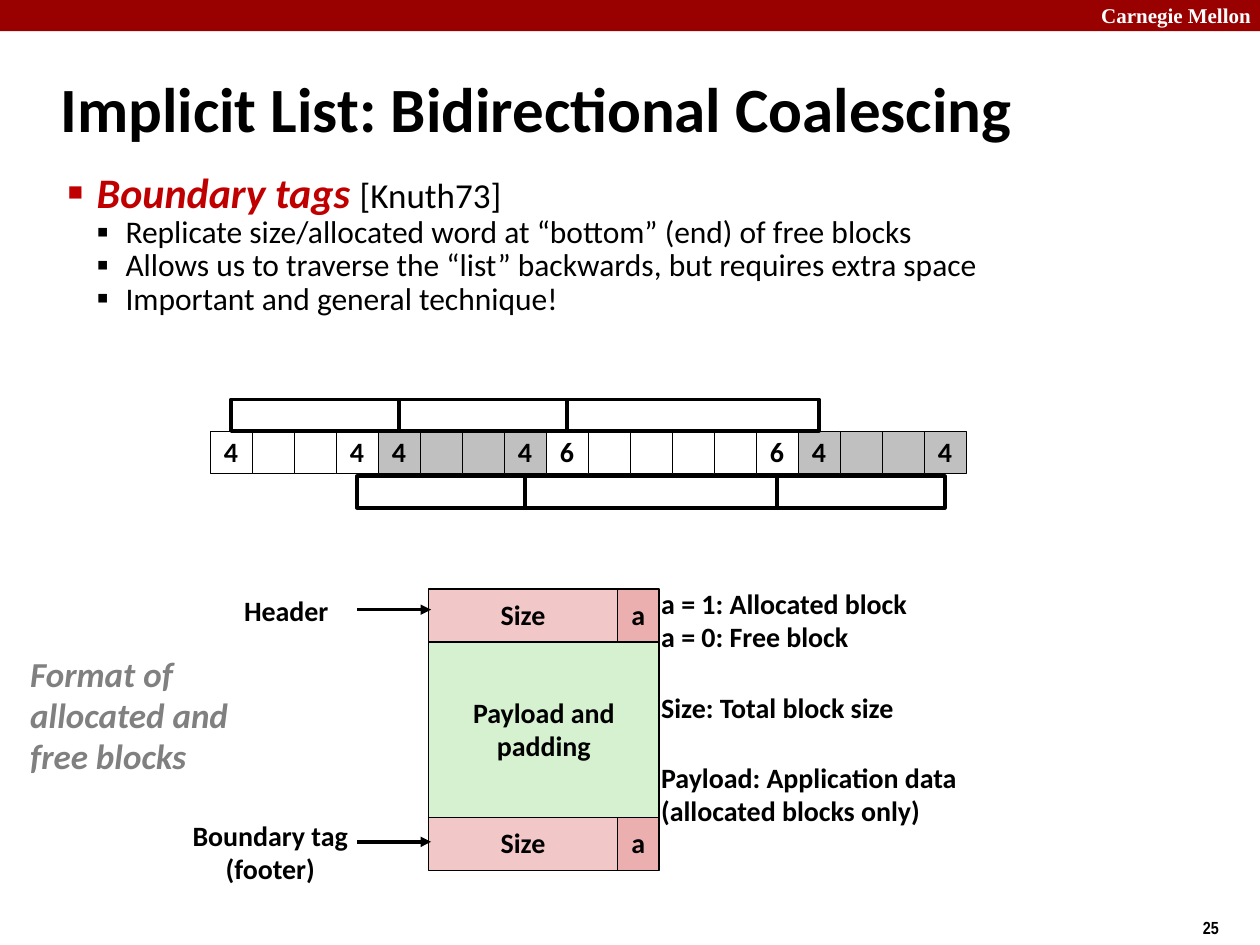
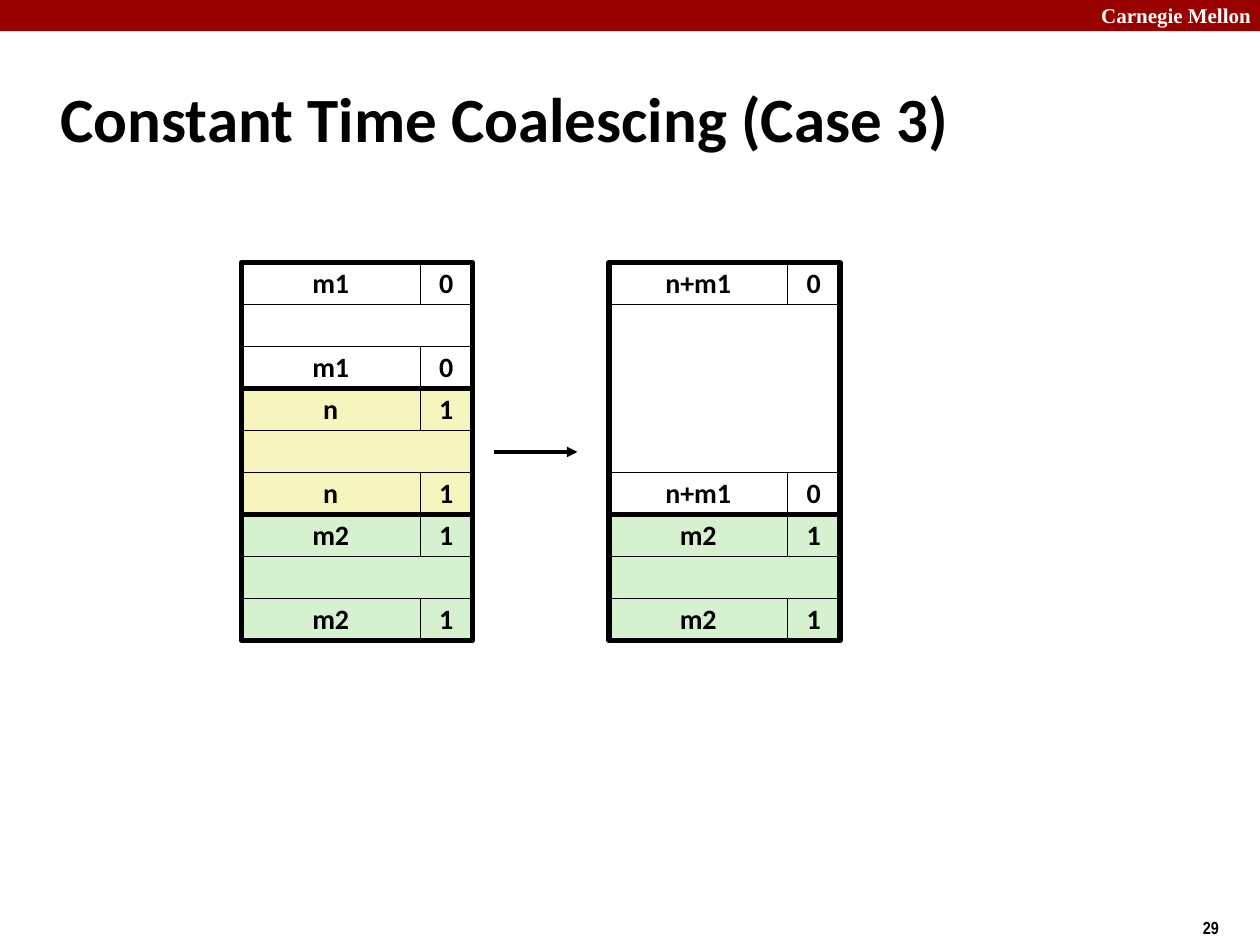
import dataclasses
import pptx
import pptx.util
import pptx.dml.color
import pptx.enum.shapes
import pptx.enum.text
import pptx.oxml.ns
from lxml import etree

Cm = pptx.util.Cm
Pt = pptx.util.Pt
Align = pptx.enum.text.PP_ALIGN
Anchor = pptx.enum.text.MSO_ANCHOR


@dataclasses.dataclass(frozen=True)
class Theme:
    font: str = "Calibri"
    serif: str = "Times New Roman"
    narrow: str = "Arial Narrow"
    black: str = "000000"
    white: str = "FFFFFF"
    band: str = "990000"
    red: str = "C00000"
    gray: str = "808080"
    silver: str = "C0C0C0"
    pink: str = "F1C7C7"
    rose: str = "EBAFAF"
    green: str = "D5F1CF"
    yellow: str = "F6F5BD"
    title: int = 36
    lead: int = 24
    large: int = 20
    item: int = 18
    label: int = 16
    brand: int = 12
    page: int = 10
    hair: float = 0.25
    thin: float = 1
    thick: float = 2
    frame: float = 3


THEME = Theme()
CELL = 2.54 / 3


def rgb(code):
    return pptx.dml.color.RGBColor.from_string(code)


def tag(parent, name, **attrs):
    return etree.SubElement(parent, pptx.oxml.ns.qn(name), attrs)


def write(par, text, font=THEME.font, size=THEME.label, color=THEME.black,
          bold=True, italic=False):
    run = par.add_run()
    run.text = text
    run.font.name = font
    run.font.size = Pt(size)
    run.font.bold = bold
    run.font.italic = italic
    run.font.color.rgb = rgb(color)


class Deck:
    def __init__(self, theme):
        self.theme = theme
        self.file = pptx.Presentation()
        self.file.slide_width = Cm(25.4)
        self.file.slide_height = Cm(19.05)
        self.slide = None

    def start(self, layout, page):
        t = self.theme
        self.slide = self.file.slides.add_slide(self.file.slide_layouts[layout])
        self.rect(0, 0, 25.4, 0.63, fill=t.band)
        self.text("Carnegie Mellon", 21.95, -0.08, 3.63, 0.76, spacing=1,
                  font=t.serif, size=t.brand, color=t.white)
        self.text(page, 24, 18.36, 1.4, 0.69, spacing=1,
                  font=t.narrow, size=t.page)

    def place(self, shape, x, y, w, h):
        shape.left, shape.top, shape.width, shape.height = map(Cm, (x, y, w, h))

    def title(self, text, top, width):
        shape = self.slide.shapes.title
        self.place(shape, 1.07, top, width, 1.6)
        frame = shape.text_frame
        self.fit(frame, 0.15, 0, Anchor.MIDDLE)
        frame.paragraphs[0].alignment = Align.LEFT
        write(frame.paragraphs[0], text, size=self.theme.title)

    def fit(self, frame, side, edge, anchor):
        frame.word_wrap = True
        frame.auto_size = pptx.enum.text.MSO_AUTO_SIZE.NONE
        frame.vertical_anchor = anchor
        frame.margin_left = frame.margin_right = Cm(side)
        frame.margin_top = frame.margin_bottom = Cm(edge)

    def list(self, lead, note, items):
        t = self.theme
        shape = self.slide.placeholders[1]
        self.place(shape, 1.12, 3.4, 23.06, 3.68)
        frame = shape.text_frame
        self.fit(frame, 0.25, 0.13, Anchor.TOP)
        first = self.point(frame.paragraphs[0], 0, "■", 60, 0.83)
        write(first, lead, size=t.lead, color=t.red, italic=True)
        write(first, note, size=t.large, bold=False)
        for item in items:
            par = self.point(frame.add_paragraph(), 1, "▪", 110, 0.88)
            write(par, item, size=t.item, bold=False)

    def point(self, par, level, mark, scale, spacing):
        par.level = level
        props = par._p.get_or_add_pPr()
        props.set("marL", str(Cm(0.58 * (level + 1))))
        props.set("indent", str(-Cm(0.58)))
        tag(props, "a:buSzPct", val=str(scale * 1000))
        tag(props, "a:buChar", char=mark)
        par.line_spacing = spacing
        par.space_before = par.space_after = Pt(0)
        return par

    def fill(self, frame, text, align, spacing=0.98, gap=21.5, **style):
        par = None
        for group in text.split("\n\n"):
            for row, line in enumerate(group.split("\n")):
                fresh = par is None
                par = frame.paragraphs[0] if fresh else frame.add_paragraph()
                par.alignment = align
                par.line_spacing = spacing
                if row == 0 and not fresh:
                    par.space_before = Pt(gap)
                write(par, line, **style)

    def text(self, text, x, y, w, h, align=Align.LEFT, **style):
        box = self.slide.shapes.add_textbox(*map(Cm, (x, y, w, h)))
        self.fit(box.text_frame, 0.25, 0.13, Anchor.TOP)
        self.fill(box.text_frame, text, align, **style)

    def rect(self, x, y, w, h, text="", fill=None, line=None):
        kind = pptx.enum.shapes.MSO_SHAPE.RECTANGLE
        shape = self.slide.shapes.add_shape(kind, *map(Cm, (x, y, w, h)))
        shape.shadow.inherit = False
        if fill:
            shape.fill.solid()
            shape.fill.fore_color.rgb = rgb(fill)
        else:
            shape.fill.background()
        if line:
            shape.line.color.rgb = rgb(self.theme.black)
            shape.line.width = Pt(line)
        else:
            shape.line.fill.background()
        if text:
            self.fit(shape.text_frame, 0, 0, Anchor.MIDDLE)
            self.fill(shape.text_frame, text, Align.CENTER)

    def arrow(self, x, y, end):
        kind = pptx.enum.shapes.MSO_CONNECTOR.STRAIGHT
        line = self.slide.shapes.add_connector(kind, *map(Cm, (x, y, end, y)))
        line.line.color.rgb = rgb(self.theme.black)
        line.line.width = Pt(self.theme.thick)
        tag(line.line._get_or_add_ln(), "a:tailEnd", type="triangle")
        tag(line._element.spPr, "a:effectLst")

    def spans(self, x, y, sizes):
        for size in sizes:
            self.rect(x, y, size * CELL, 0.64, line=self.theme.thick)
            x += size * CELL

    def words(self, x, y, blocks):
        for size, color in blocks:
            for spot in range(size):
                label = str(size) if spot in (0, size - 1) else ""
                self.rect(x, y, CELL, CELL, label, color, self.theme.hair)
                x += CELL

    def tagged(self, x, y, size):
        t = self.theme
        self.rect(x, y, 3.81, 1.07, size, t.pink, t.thin)
        self.rect(x + 3.81, y, 0.84, 1.07, "a", t.rose, t.thin)

    def stack(self, x, y, blocks):
        t = self.theme
        wide, slim = 4.25 * CELL, 1.25 * CELL
        for label, flag, color, rows in blocks:
            foot = y + (rows + 1) * CELL
            self.rect(x, y + CELL, wide + slim, rows * CELL, "", color, t.hair)
            for top in (y, foot):
                self.rect(x, top, wide, CELL, label, color, t.hair)
                self.rect(x + wide, top, slim, CELL, flag, color, t.hair)
            self.rect(x, y, wide + slim, (rows + 2) * CELL, line=t.frame)
            y = foot + CELL


def tags(deck):
    t = deck.theme
    deck.start(1, "25")
    deck.title("Implicit List: Bidirectional Coalescing", 1.37, 24.33)
    deck.list("Boundary tags ", "[Knuth73]", [
        "Replicate size/allocated word at “bottom” (end) of free blocks",
        "Allows us to traverse the “list” backwards, but requires extra space",
        "Important and general technique!",
    ])
    left = 5 * CELL
    deck.words(left, 8.7, [(4, t.white), (4, t.silver), (6, t.white), (4, t.silver)])
    deck.spans(left + 0.5 * CELL, 8.05, (4, 4, 6))
    deck.spans(left + 3.5 * CELL, 9.6, (4, 6, 4))

    deck.rect(8.64, 12.93, 4.65, 3.57, "Payload and\npadding", t.green, t.thin)
    for top in (11.88, 16.48):
        deck.tagged(8.64, top, "Size")
    deck.text("Format of\nallocated and\nfree blocks", 0.36, 13.06, 5.89, 2.74,
              size=t.large, color=t.gray, italic=True)
    deck.text("a = 1: Allocated block\na = 0: Free block\n\n"
              "Size: Total block size\n\n"
              "Payload: Application data\n(allocated blocks only)",
              13.08, 11.73, 8.64, 5.56)
    deck.text("Header", 4.67, 11.86, 2.79, 0.91)
    deck.text("Boundary tag\n(footer)", 3.05, 16.41, 4.8, 1.57, Align.CENTER)
    for level in (12.29, 16.97):
        deck.arrow(7.2, level, 8.69)


def merge(deck):
    t = deck.theme
    deck.start(5, "29")
    deck.title("Constant Time Coalescing (Case 3)", 1.57, 23.29)
    last = ("m2", "1", t.green, 1)
    top = 6.25 * CELL
    deck.stack(5.75 * CELL, top,
               [("m1", "0", t.white, 1), ("n", "1", t.yellow, 1), last])
    deck.stack(14.5 * CELL, top, [("n+m1", "0", t.white, 4), last])
    deck.arrow(9.95, 9.11, 11.64)


def main():
    deck = Deck(THEME)
    tags(deck)
    merge(deck)
    deck.file.save("out.pptx")


if __name__ == "__main__":
    main()
